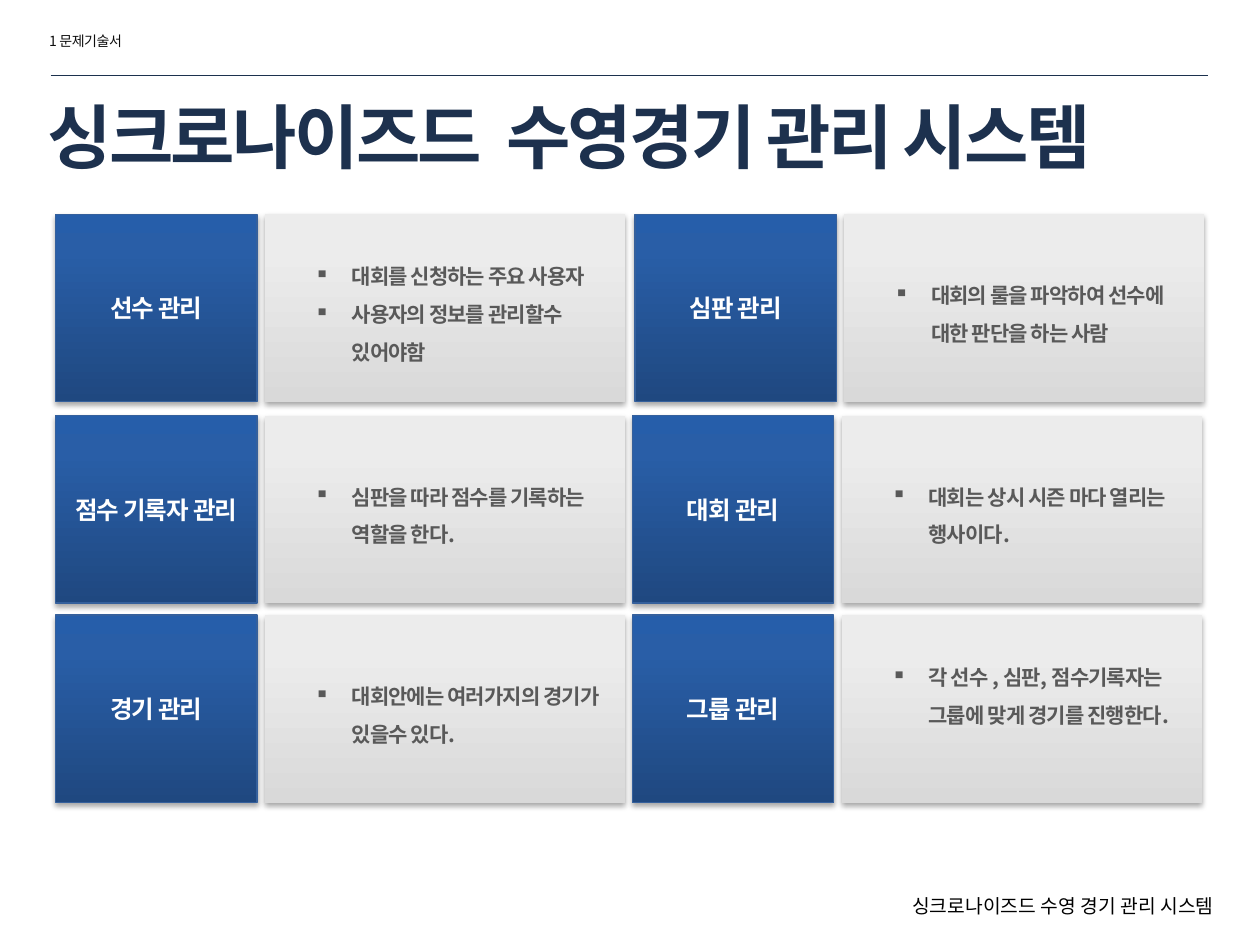
"""Build the overview slide of a synchronized swimming management system."""
from lxml import etree
from pptx import Presentation
from pptx.dml.color import RGBColor
from pptx.enum.shapes import MSO_CONNECTOR, MSO_SHAPE
from pptx.enum.text import MSO_ANCHOR, MSO_AUTO_SIZE, PP_ALIGN
from pptx.oxml.ns import qn
from pptx.util import Cm, Pt

RECTANGLE, STRAIGHT = MSO_SHAPE.RECTANGLE, MSO_CONNECTOR.STRAIGHT
MIDDLE, TOP = MSO_ANCHOR.MIDDLE, MSO_ANCHOR.TOP
GROW, FIXED = MSO_AUTO_SIZE.SHAPE_TO_FIT_TEXT, MSO_AUTO_SIZE.NONE
LEFT, CENTER = PP_ALIGN.LEFT, PP_ALIGN.CENTER

FONT = "Noto Sans CJK KR"
BLACK = RGBColor(0x00, 0x00, 0x00)
INK = RGBColor(0x0D, 0x0D, 0x0D)
WHITE = RGBColor(0xFF, 0xFF, 0xFF)
GRAY = RGBColor(0x59, 0x59, 0x59)
NAVY = RGBColor(0x1D, 0x31, 0x4E)
RULE = RGBColor(0x1C, 0x31, 0x4E)
EDGE = RGBColor(0x35, 0x60, 0x9C)
BLUES = [(0, RGBColor(0x1F, 0x48, 0x80)), (80, RGBColor(0x29, 0x5E, 0xA7)),
         (100, RGBColor(0x26, 0x5E, 0xAA))]
SILVERS = [(0, RGBColor(0xD9, 0xD9, 0xD9)), (80, RGBColor(0xEC, 0xEC, 0xEC))]


def write(paragraph, text, size, color, bold=False, spacing=0):
    run = paragraph.add_run()
    run.text = text
    for name, value in {"name": FONT, "size": Pt(size), "bold": bold}.items():
        setattr(run.font, name, value)
    run.font.color.rgb = color
    properties = run._r.get_or_add_rPr()
    properties.set("spc", str(spacing))
    etree.SubElement(properties, qn("a:ea"), typeface=FONT)


def add_panel(left, top, width, stops):
    panel = slide.shapes.add_shape(RECTANGLE, Cm(left), Cm(top), Cm(width), Cm(3.78))
    panel.fill.gradient()
    panel.fill.gradient_angle = 90
    properties = panel._element.spPr
    stop_list = properties.find(".//" + qn("a:gsLst"))
    for old_stop in list(stop_list):
        stop_list.remove(old_stop)
    for position, color in stops:
        stop = etree.SubElement(stop_list, qn("a:gs"), pos=str(position * 1000))
        etree.SubElement(stop, qn("a:srgbClr"), val=str(color))
    panel.line.fill.background()
    panel.shadow.inherit = False
    shadow = etree.SubElement(properties.find(qn("a:effectLst")), qn("a:outerShdw"),
                              blurRad="40000", dist="23000", dir="5400000", rotWithShape="0")
    shade = etree.SubElement(shadow, qn("a:srgbClr"), val=str(BLACK))
    etree.SubElement(shade, qn("a:alpha"), val="35000")
    panel.text_frame.word_wrap = True
    panel.text_frame.vertical_anchor = MIDDLE
    return panel


deck = Presentation()
deck.slide_width, deck.slide_height = Cm(25.4), Cm(19.05)
slide = deck.slides.add_slide(deck.slide_layouts[6])

divider = slide.shapes.add_connector(STRAIGHT, Cm(1.02), Cm(1.52), Cm(24.36), Cm(1.52))
divider.line.color.rgb = RULE
divider.line.width = Pt(0.25)
etree.SubElement(divider._element.spPr, qn("a:effectLst"))

HEADINGS = [
    ("1 문제기술서", (0.74, 0.53, 4.39, 0.61), TOP, GROW, (8, INK, False, -30)),
    ("싱크로나이즈드  수영경기 관리 시스템", (0.71, 1.47, 23.27, 2.54), MIDDLE, FIXED,
     (40, NAVY, True, -150)),
    ("싱크로나이즈드 수영 경기 관리 시스템", (18.14, 17.91, 7.26, 0.74), TOP, GROW,
     (11, BLACK)),
]
for text, box, anchor, sizing, style in HEADINGS:
    heading = slide.shapes.add_textbox(*map(Cm, box)).text_frame
    frame_format = {"word_wrap": True, "vertical_anchor": anchor, "auto_size": sizing}
    for name, value in frame_format.items():
        setattr(heading, name, value)
    write(heading.paragraphs[0], text, *style)

ROWS = [
    (4.32, 12.8, [
        ("선수 관리", ["대회를 신청하는 주요 사용자", "사용자의 정보를 관리할수 있어야함"]),
        ("심판 관리", ["대회의 룰을 파악하여 선수에 대한 판단을 하는 사람"])]),
    (8.38, 12.75, [
        ("점수 기록자 관리", ["심판을 따라 점수를 기록하는 역할을 한다."]),
        ("대회 관리", ["대회는 상시 시즌 마다 열리는 행사이다."])]),
    (12.4, 12.75, [
        ("경기 관리", ["대회안에는 여러가지의 경기가 있을수 있다."]),
        ("그룹 관리", ["각 선수 , 심판, 점수기록자는 그룹에 맞게 경기를 진행한다."])]),
]
for top, right_column, topics in ROWS:
    for left, (topic, duties) in zip((1.12, right_column), topics):
        label = add_panel(left, top, 4.06, BLUES)
        label.line.color.rgb = EDGE
        label.line.width = Pt(0.75)
        label.text_frame.paragraphs[0].alignment = CENTER
        write(label.text_frame.paragraphs[0], topic, 14, WHITE, True, -50)

        description = add_panel(left + 4.22, top, 7.26, SILVERS).text_frame
        if topic == "그룹 관리":
            description.margin_bottom = Cm(0.89)
        for index, duty in enumerate(duties):
            item = description.add_paragraph() if index else description.paragraphs[0]
            item_properties = item._p.get_or_add_pPr()
            item_properties.set("marL", str(Cm(1.5)))
            item_properties.set("indent", str(Cm(-0.75)))
            etree.SubElement(item_properties, qn("a:buChar"), char="▪")
            for name, value in {"alignment": LEFT, "line_spacing": 1.5}.items():
                setattr(item, name, value)
            write(item, duty, 12, GRAY, True, -50)

deck.save("out.pptx")
